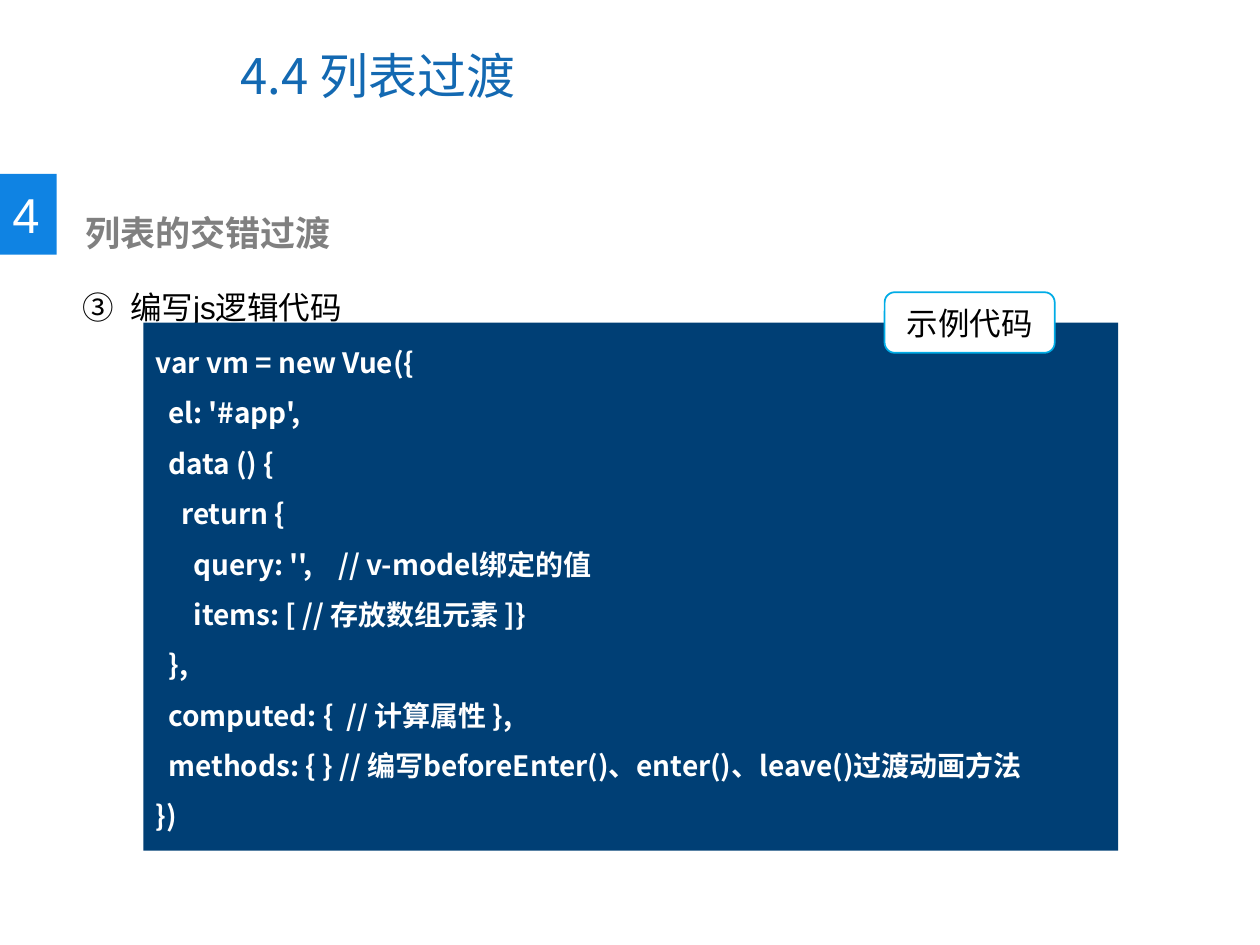
from lxml.etree import SubElement
from pptx import Presentation
from pptx.dml.color import RGBColor
from pptx.enum.shapes import MSO_SHAPE
from pptx.enum.text import MSO_ANCHOR, PP_ALIGN
from pptx.oxml.ns import qn
from pptx.util import Pt

WHITE = RGBColor(0xFF, 0xFF, 0xFF)
BLACK = RGBColor(0x00, 0x00, 0x00)
GRAY = RGBColor(0x80, 0x80, 0x80)
TITLE_BLUE = RGBColor(0x13, 0x69, 0xB2)
TAB_BLUE = RGBColor(0x0F, 0x83, 0xE3)
CODE_BLUE = RGBColor(0x00, 0x3F, 0x75)
LABEL_BLUE = RGBColor(0x00, 0xAC, 0xE6)
CJK = "Noto Sans CJK SC"

prs = Presentation()
prs.slide_width, prs.slide_height = Pt(720), Pt(540)
s = prs.slides.add_slide(prs.slide_layouts[6])


def write(sp, text, size, color=BLACK, font="Arial", bold=False, spacing=1.0,
          align=PP_ALIGN.LEFT, anchor=MSO_ANCHOR.TOP, wrap=True):
    """Fill a shape with one paragraph per line of text."""
    tf = sp.text_frame
    tf.word_wrap = wrap
    tf.vertical_anchor = anchor
    for i, line in enumerate(text.splitlines()):
        p = tf.paragraphs[0] if i == 0 else tf.add_paragraph()
        p.alignment = align
        p.line_spacing = spacing
        r = p.add_run()
        r.text = line
        r.font.size = Pt(size)
        r.font.bold = bold
        r.font.color.rgb = color
        r.font.name = font
        SubElement(r.font._element, qn("a:ea"), typeface=CJK)
    return tf


def add_box(kind, left, top, width, height, fill):
    """Add a flat filled shape without outline."""
    sp = s.shapes.add_shape(kind, Pt(left), Pt(top), Pt(width), Pt(height))
    sp.shadow.inherit = False
    sp.fill.solid()
    sp.fill.fore_color.rgb = fill
    sp.line.fill.background()
    return sp


# Title
sp = s.shapes.add_textbox(Pt(130.3), Pt(12.2), Pt(371.5), Pt(61.2))
write(sp, "4.4 列表过渡", 28, TITLE_BLUE, CJK, anchor=MSO_ANCHOR.MIDDLE)

# Section number and heading
add_box(MSO_SHAPE.RECTANGLE, 0, 99.4, 32.4, 46.1, TAB_BLUE)
sp = s.shapes.add_textbox(Pt(0), Pt(102.2), Pt(30.2), Pt(41))
write(sp, "4", 28, WHITE, wrap=False)
sp = s.shapes.add_textbox(Pt(33.8), Pt(117.4), Pt(370), Pt(31.7))
tf = write(sp, "列表的交错过渡", 20, GRAY, bold=True)
tf.margin_left = Pt(15)

# Numbered step
sp = s.shapes.add_textbox(Pt(40.3), Pt(139.7), Pt(635), Pt(43.9))
tf = write(sp, "编写js逻辑代码", 18, spacing=2.0)
pPr = tf.paragraphs[0]._p.get_or_add_pPr()
pPr.set("marL", str(Pt(27)))
pPr.set("indent", str(Pt(-27)))
SubElement(pPr, qn("a:buFont"), typeface=CJK)
SubElement(pPr, qn("a:buAutoNum"), type="circleNumDbPlain", startAt="3")

# Code panel
CODE = """var vm = new Vue({
  el: '#app',
  data () {
    return {
      query: '',    // v-model绑定的值
      items: [ // 存放数组元素 ]}
  },
  computed: {  // 计算属性 },
  methods: { } // 编写beforeEnter()、enter()、leave()过渡动画方法
})"""
sp = add_box(MSO_SHAPE.RECTANGLE, 82, 184.4, 557, 301.7, CODE_BLUE)
write(sp, CODE, 16, WHITE, CJK, bold=True, spacing=1.5)

# Label on the panel edge
sp = add_box(MSO_SHAPE.ROUNDED_RECTANGLE, 505.5, 167, 97.2, 34.6, WHITE)
sp.line.color.rgb = LABEL_BLUE
sp.line.width = Pt(1)
write(sp, "示例代码", 18, align=PP_ALIGN.CENTER, anchor=MSO_ANCHOR.MIDDLE)

prs.save("out.pptx")
